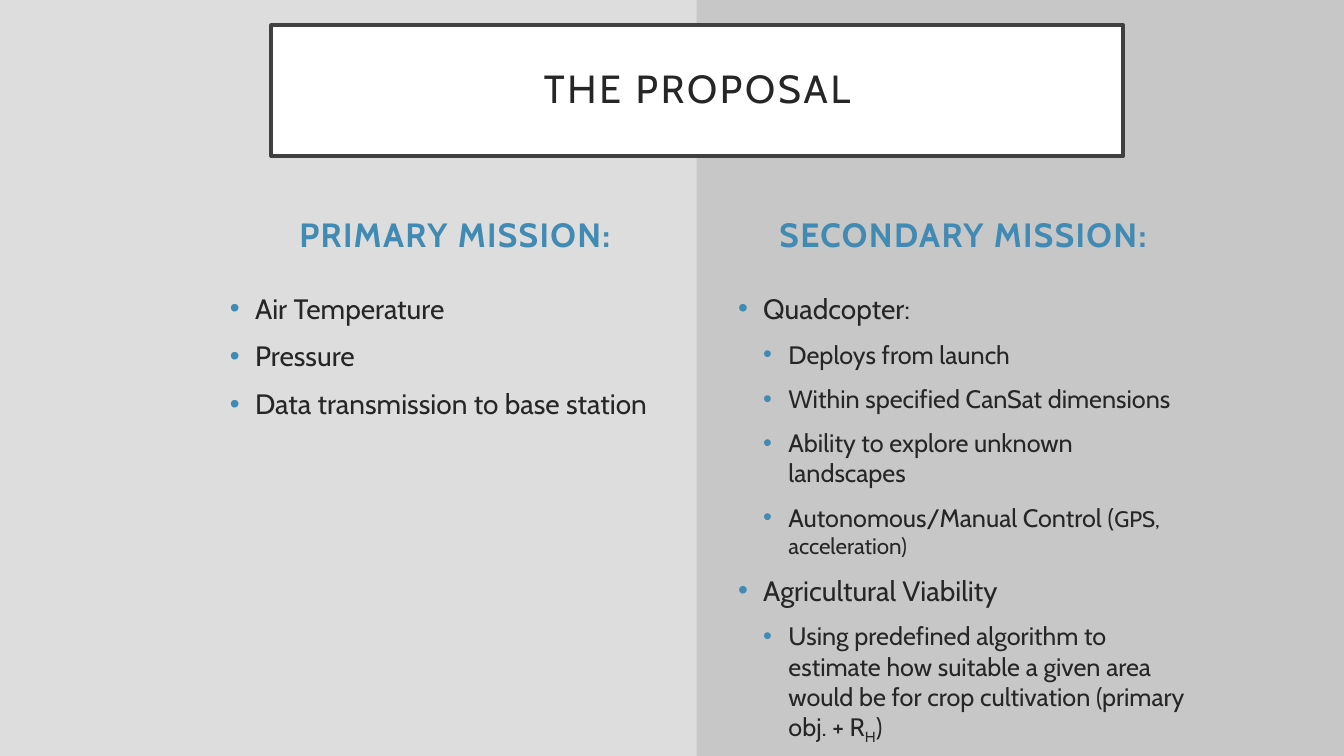
from lxml.etree import SubElement
from pptx import Presentation
from pptx.dml.color import RGBColor
from pptx.enum.shapes import MSO_SHAPE
from pptx.enum.text import MSO_ANCHOR, MSO_AUTO_SIZE, PP_ALIGN
from pptx.oxml.ns import qn
from pptx.util import Inches, Pt

LIGHT_GREY = RGBColor(0xDD, 0xDD, 0xDD)
MID_GREY = RGBColor(0xC7, 0xC7, 0xC7)
WHITE = RGBColor(0xFF, 0xFF, 0xFF)
FRAME = RGBColor(0x40, 0x40, 0x40)
INK = RGBColor(0x26, 0x26, 0x26)
BLUE = RGBColor(0x41, 0x8A, 0xB3)

COMPARISON_LAYOUT = 3 + 1
GRID = 100
COLUMN_WIDTH = 35
PRIMARY_LEFT, SECONDARY_LEFT = 16.35, 54.16
HEADING_TOP, LIST_TOP = 24, 37.87
SUBSCRIPT = "-25000"

# Each list item is a level and its runs; a run is a text with its format.
PRIMARY_ITEMS = [
    (0, [("Air Temperature", {})]),
    (0, [("Pressure", {})]),
    (0, [("Data transmission to base station", {})]),
]
SECONDARY_ITEMS = [
    (0, [("Quadcopter:", {})]),
    (1, [("Deploys from launch", {})]),
    (1, [("Within specified CanSat dimensions", {})]),
    (1, [("Ability to explore unknown landscapes", {})]),
    (1, [("Autonomous/Manual Control (", {}),
         ("GPS, acceleration)", {"size": Pt(16)})]),
    (0, [("Agricultural Viability", {})]),
    (1, [("Using predefined algorithm to estimate how suitable a given area "
          "would be for crop cultivation (primary obj. + R", {}),
         ("H", {"baseline": SUBSCRIPT}),
         (")", {})]),
]


def set_attributes(target, values):
    for name, value in values.items():
        setattr(target, name, value)


class SlideBuilder:
    """Places styled elements on one slide, measured in a 100 by 100 grid."""

    font_name = "Cabin"
    level_sizes = (Pt(20), Pt(18))
    indent = Inches(0.25)
    item_gap = Pt(10)

    def __init__(self, presentation):
        self.width = presentation.slide_width
        self.height = presentation.slide_height
        layout = presentation.slide_layouts[COMPARISON_LAYOUT]
        self.slide = presentation.slides.add_slide(layout)
        background = self.slide.background.fill
        background.solid()
        background.fore_color.rgb = LIGHT_GREY

    def box(self, left, top, width, height):
        """Turn grid columns and rows into slide lengths."""
        return {
            "left": int(self.width * left / GRID),
            "top": int(self.height * top / GRID),
            "width": int(self.width * width / GRID),
            "height": int(self.height * height / GRID),
        }

    def panel(self, color, *place):
        panel = self.slide.shapes.add_shape(
            MSO_SHAPE.RECTANGLE, **self.box(*place))
        panel.shadow.inherit = False
        panel.fill.solid()
        panel.fill.fore_color.rgb = color
        panel.line.fill.background()
        panel.element.getparent().insert(2, panel.element)

    def placeholder(self, index, place, anchor):
        shape = self.slide.placeholders[index]
        set_attributes(shape, self.box(*place))
        set_attributes(shape.text_frame, {
            "word_wrap": True,
            "auto_size": MSO_AUTO_SIZE.NONE,
            "vertical_anchor": anchor,
        })
        return shape

    def run(self, paragraph, text, color, size, bold=False, spacing=None,
            baseline=None):
        run = paragraph.add_run()
        run.text = text
        set_attributes(run.font, {
            "name": self.font_name, "size": size, "bold": bold})
        run.font.color.rgb = color
        for name, value in (("spc", spacing), ("baseline", baseline)):
            if value:
                run.font._element.set(name, value)

    def centred_line(self, shape, text, line_spacing=1.0, **style):
        paragraph = shape.text_frame.paragraphs[0]
        set_attributes(paragraph, {
            "alignment": PP_ALIGN.CENTER,
            "space_before": Pt(0),
            "line_spacing": line_spacing,
        })
        properties = paragraph._p.get_or_add_pPr()
        set_attributes_xml = {"marL": "0", "indent": "0"}
        for name, value in set_attributes_xml.items():
            properties.set(name, value)
        SubElement(properties, qn("a:buNone"))
        self.run(paragraph, text, **style)

    def title(self, text, *place):
        shape = self.placeholder(0, place, MSO_ANCHOR.MIDDLE)
        shape.fill.solid()
        shape.fill.fore_color.rgb = WHITE
        shape.line.color.rgb = FRAME
        shape.line.width = Pt(2.5)
        margins = ("left", "top", "right", "bottom")
        set_attributes(shape.text_frame, {
            f"margin_{side}": Inches(0.2) for side in margins})
        self.centred_line(shape, text, line_spacing=0.9, color=INK,
                          size=Pt(28), spacing="200")

    def heading(self, index, text, left):
        place = (left, HEADING_TOP, COLUMN_WIDTH, 10.27)
        shape = self.placeholder(index, place, MSO_ANCHOR.BOTTOM)
        self.centred_line(shape, text, color=BLUE, size=Pt(24), bold=True,
                          spacing="100")

    def bullet(self, paragraph, level):
        properties = paragraph._p.get_or_add_pPr()
        properties.set("marL", str(self.indent * (level + 1)))
        properties.set("indent", str(-self.indent))
        color = SubElement(properties, qn("a:buClr"))
        SubElement(color, qn("a:srgbClr"), val=str(BLUE))
        SubElement(properties, qn("a:buFont"), typeface="Arial")
        SubElement(properties, qn("a:buChar"), char="•")

    def bullet_list(self, index, items, left, rows):
        place = (left, LIST_TOP, COLUMN_WIDTH, rows)
        frame = self.placeholder(index, place, MSO_ANCHOR.TOP).text_frame
        for number, (level, runs) in enumerate(items):
            paragraph = frame.add_paragraph() if number else frame.paragraphs[0]
            set_attributes(paragraph, {
                "level": level,
                "alignment": PP_ALIGN.LEFT,
                "line_spacing": 1.0,
                "space_before": self.item_gap if number else Pt(0),
            })
            self.bullet(paragraph, level)
            for text, changes in runs:
                style = {"color": INK, "size": self.level_sizes[level]}
                self.run(paragraph, text, **{**style, **changes})


def main():
    presentation = Presentation()
    presentation.slide_width = Inches(13.33)
    presentation.slide_height = Inches(7.5)

    builder = SlideBuilder(presentation)
    builder.panel(MID_GREY, 51.84, 0, 48.16, 100)
    builder.title("THE PROPOSAL", 20.18, 3.33, 63.39, 17.33)
    builder.heading(1, "PRIMARY MISSION:", PRIMARY_LEFT)
    builder.bullet_list(2, PRIMARY_ITEMS, PRIMARY_LEFT, 23.2)
    builder.heading(3, "SECONDARY MISSION:", SECONDARY_LEFT)
    builder.bullet_list(4, SECONDARY_ITEMS, SECONDARY_LEFT, 55.6)

    presentation.save("out.pptx")


if __name__ == "__main__":
    main()
